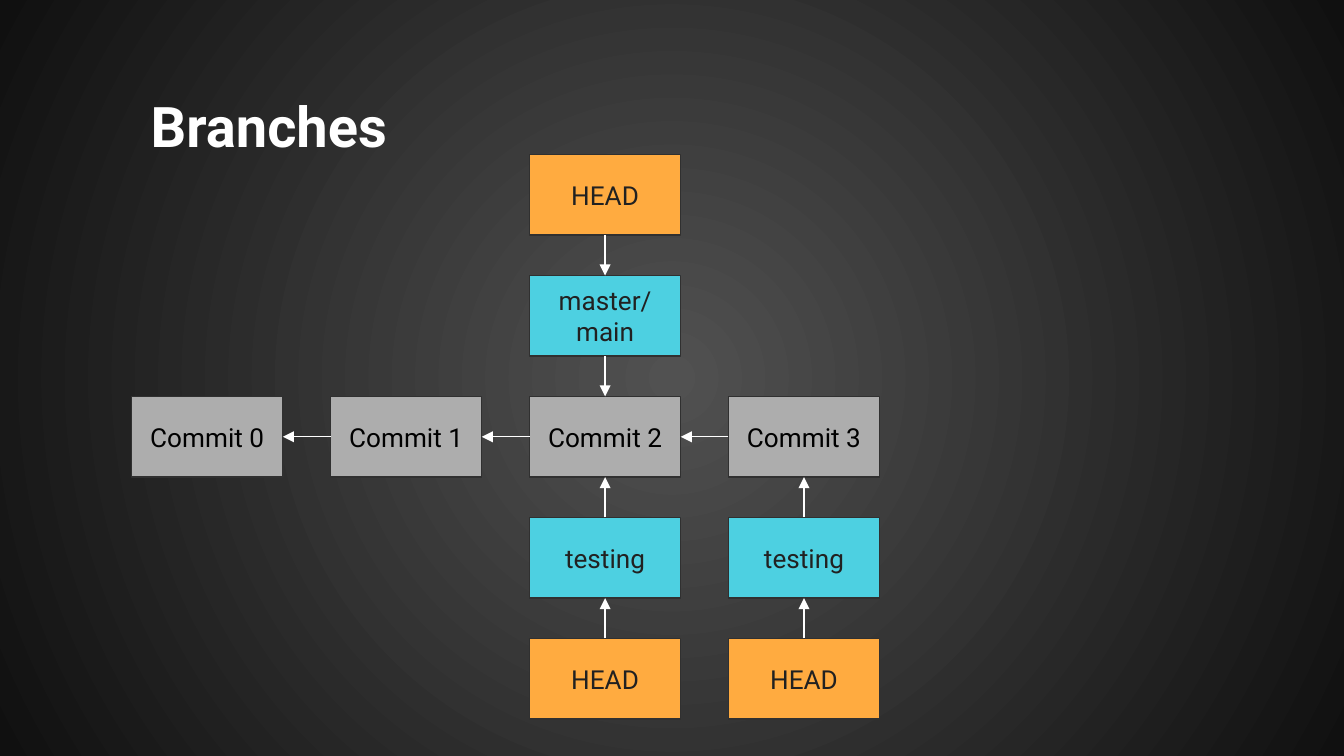
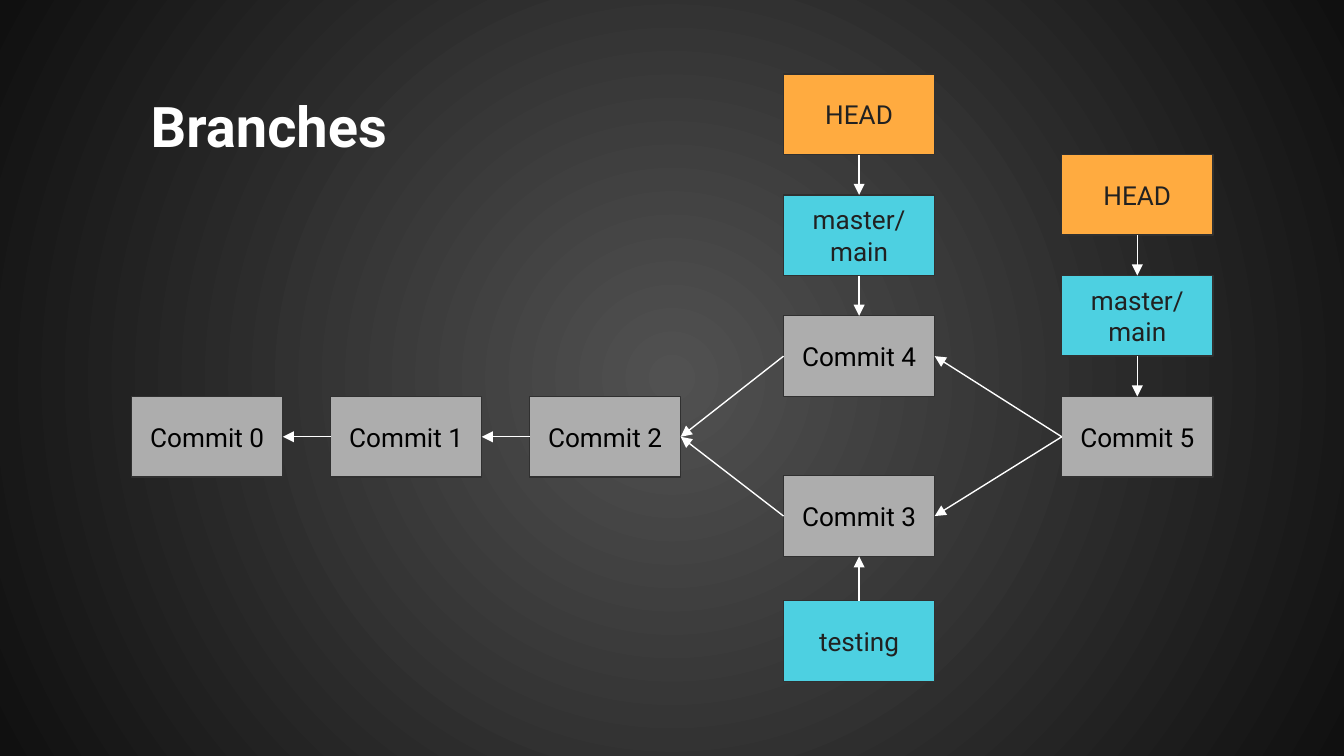
from pptx import Presentation
from pptx.dml.color import RGBColor
from pptx.enum.shapes import MSO_CONNECTOR as Line, MSO_SHAPE as Shape
from pptx.enum.text import MSO_ANCHOR as Anchor, MSO_AUTO_SIZE as AutoSize, PP_ALIGN as Align
from pptx.oxml.ns import qn
from pptx.util import Inches, Pt
from lxml.etree import SubElement

# Content: commit, left, top, row step, labels above, labels below (nearest first)
TITLE = "Branches"
MAIN, TEST, HEAD = "master/\nmain", "testing", "HEAD"
COLUMNS = [0.98 + 1.48 * index for index in range(4)]
TRUNK, STEP = 2.95, 0.9
BASE = [(f"Commit {index}", COLUMNS[index], TRUNK, STEP, [], []) for index in range(2)]

SLIDES = [
    {
        "stacks": BASE + [
            ("Commit 2", COLUMNS[2], TRUNK, STEP, [MAIN, HEAD], [TEST, HEAD]),
            ("Commit 3", COLUMNS[3], TRUNK, STEP, [], [TEST, HEAD]),
        ],
        "parents": [(1, 0), (2, 1), (3, 2)],
    },
    {
        "stacks": BASE + [
            ("Commit 2", COLUMNS[2], TRUNK, STEP, [], []),
            ("Commit 3", 5.83, 3.54, 0.93, [], [TEST]),
            ("Commit 4", 5.83, 2.35, STEP, [MAIN, HEAD], []),
            ("Commit 5", 7.9, TRUNK, STEP, [MAIN, HEAD], []),
        ],
        "parents": [(1, 0), (2, 1), (4, 2), (3, 2), (5, 4), (5, 3)],
    },
]

# Shared style
SLIDE_WIDTH = 10
SLIDE_HEIGHT = SLIDE_WIDTH * 9 / 16
FONT = "Roboto"
WHITE, BORDER = "FFFFFF", "303030"
GLOW = ["515151", "101010"]
COMMIT_STYLE = ("ADADAD", "000000")
LABEL_STYLES = {MAIN: ("4DD0E1", "212121"), TEST: ("4DD0E1", "212121"), HEAD: ("FFAB40", "212121")}
BOX_WIDTH, BOX_HEIGHT = 9 / 8, 0.6
TITLE_PLACE = {"left": 1.02, "top": 0.53, "width": 2.12, "height": 0.81}
TOP, LEFT, BOTTOM, RIGHT = range(4)  # connection sites of a rectangle


def color(value):
    return RGBColor.from_string(value)


def set_all(target, values):
    for name, value in values.items():
        setattr(target, name, value)


def format_text(shape, size, ink, align, bold=False):
    frame = shape.text_frame
    margins = {f"margin_{side}": Inches(0.1) for side in ("left", "top", "right", "bottom")}
    set_all(frame, {"word_wrap": True, "auto_size": AutoSize.NONE,
                    "vertical_anchor": Anchor.MIDDLE, **margins})
    for para in frame.paragraphs:
        para.alignment = align
        for span in para.runs:
            set_all(span.font, {"name": FONT, "size": Pt(size), "bold": bold})
            span.font.color.rgb = color(ink)


def set_line(line, ink):
    line.color.rgb = color(ink)
    line.width = Pt(0.75)


def add_background(master):
    fill = master.background.fill
    fill.gradient()
    for stop, shade in zip(fill.gradient_stops, GLOW):
        stop.color.rgb = color(shade)
    # Swap the linear direction for a circle around the centre
    gradient = next(master.element.iter(qn("a:gradFill")))
    gradient.remove(gradient.find(qn("a:lin")))
    circle = SubElement(gradient, qn("a:path"), {"path": "circle"})
    SubElement(circle, qn("a:fillToRect"), {side: "50000" for side in "ltrb"})


def add_title(page):
    title = page.shapes.title
    set_all(title, {name: Inches(value) for name, value in TITLE_PLACE.items()})
    title.text_frame.text = TITLE
    format_text(title, 30, WHITE, Align.LEFT, bold=True)


def add_box(page, text, left, top, style):
    fill, ink = style
    box = page.shapes.add_shape(Shape.RECTANGLE, Inches(left), Inches(top),
                                Inches(BOX_WIDTH), Inches(BOX_HEIGHT))
    box.shadow.inherit = False
    box.fill.solid()
    box.fill.fore_color.rgb = color(fill)
    set_line(box.line, BORDER)
    box.text_frame.text = text
    format_text(box, 14, ink, Align.CENTER)
    return box


def add_arrow(page, start, start_site, end, end_site):
    arrow = page.shapes.add_connector(Line.STRAIGHT, 0, 0, 0, 0)
    arrow.begin_connect(start, start_site)
    arrow.end_connect(end, end_site)
    set_line(arrow.line, WHITE)
    SubElement(arrow.line._get_or_add_ln(), qn("a:tailEnd"), {"type": "triangle"})
    SubElement(arrow._element.spPr, qn("a:effectLst"))


def add_stack(page, commit, left, top, step, above, below):
    commit_box = add_box(page, commit, left, top, COMMIT_STYLE)
    # Each label points at the box between it and the commit
    for labels, direction, start_site, end_site in (
        (above, -1, BOTTOM, TOP),
        (below, 1, TOP, BOTTOM),
    ):
        target = commit_box
        for row, label in enumerate(labels, 1):
            box = add_box(page, label, left, top + direction * row * step, LABEL_STYLES[label])
            add_arrow(page, box, start_site, target, end_site)
            target = box
    return commit_box


def main():
    deck = Presentation()
    deck.slide_width, deck.slide_height = Inches(SLIDE_WIDTH), Inches(SLIDE_HEIGHT)
    add_background(deck.slide_master)
    for content in SLIDES:
        page = deck.slides.add_slide(deck.slide_layouts[5])
        add_title(page)
        commits = [add_stack(page, *stack) for stack in content["stacks"]]
        for child, parent in content["parents"]:
            add_arrow(page, commits[child], LEFT, commits[parent], RIGHT)
    deck.save("out.pptx")


if __name__ == "__main__":
    main()
